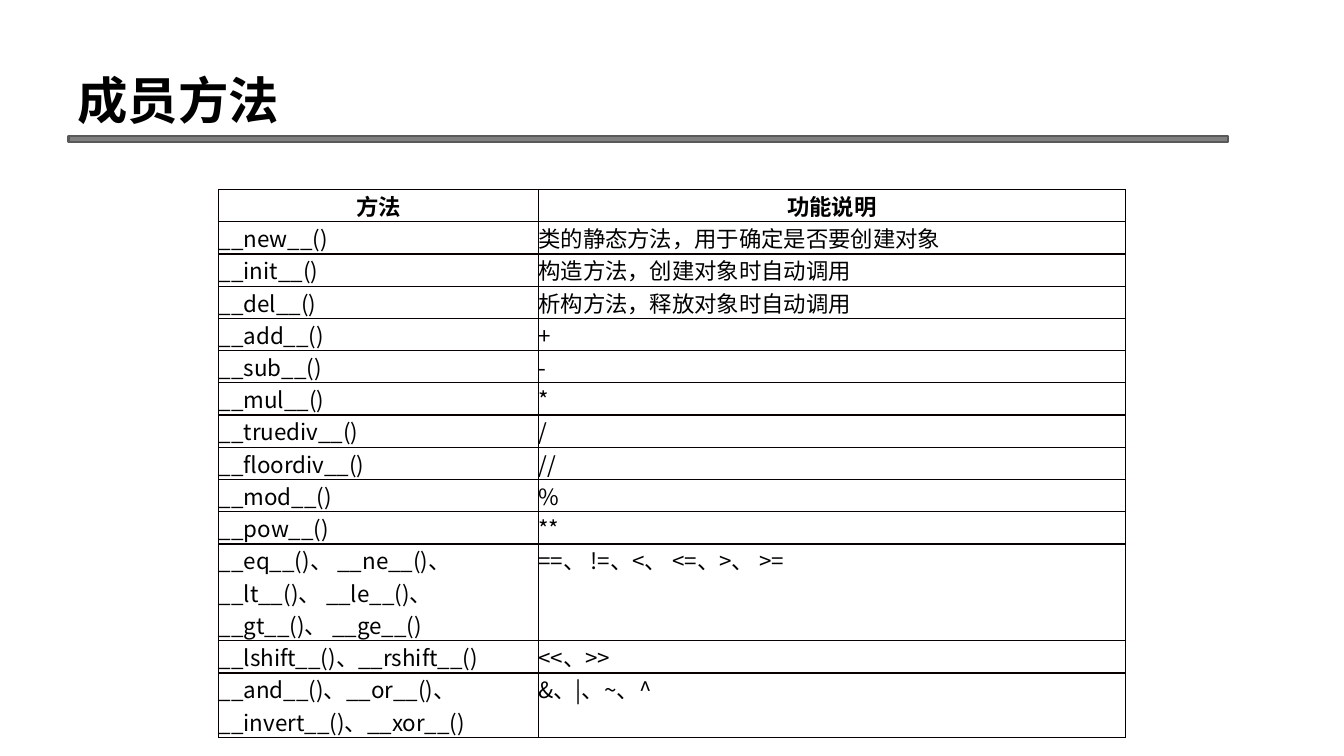
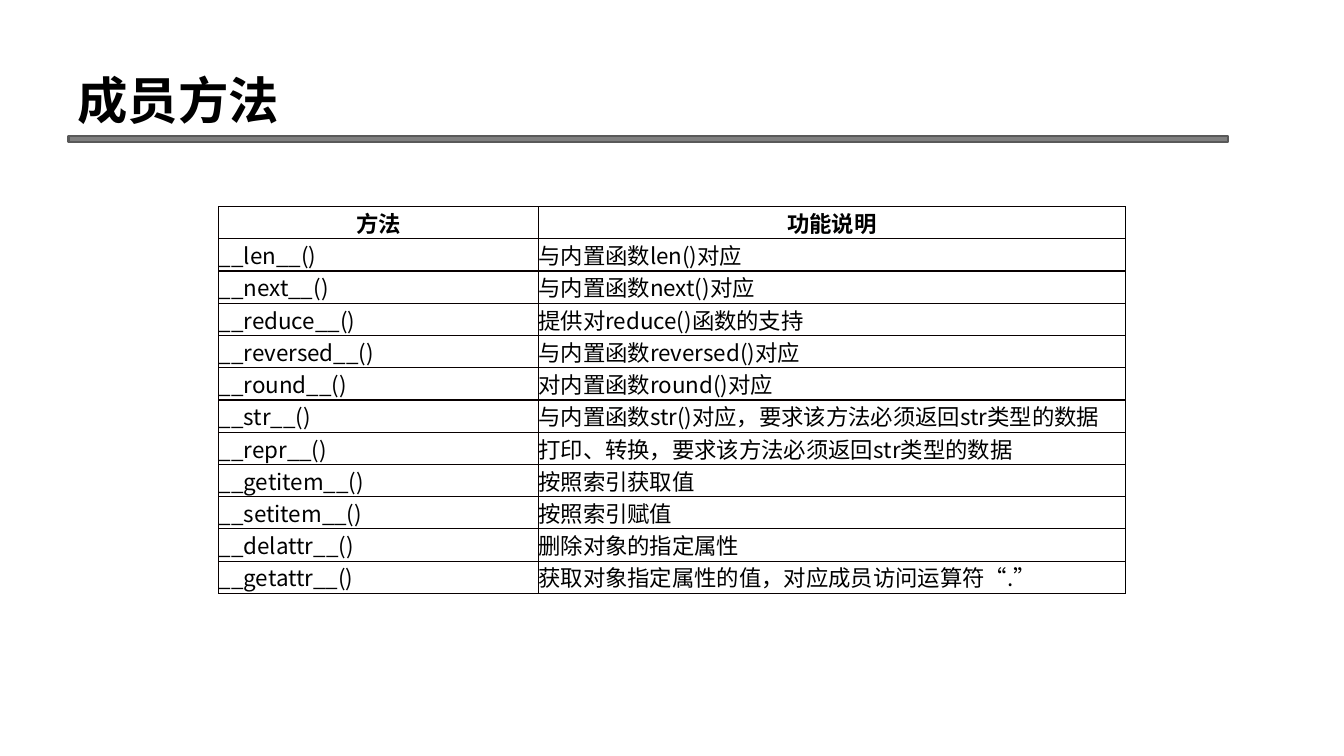
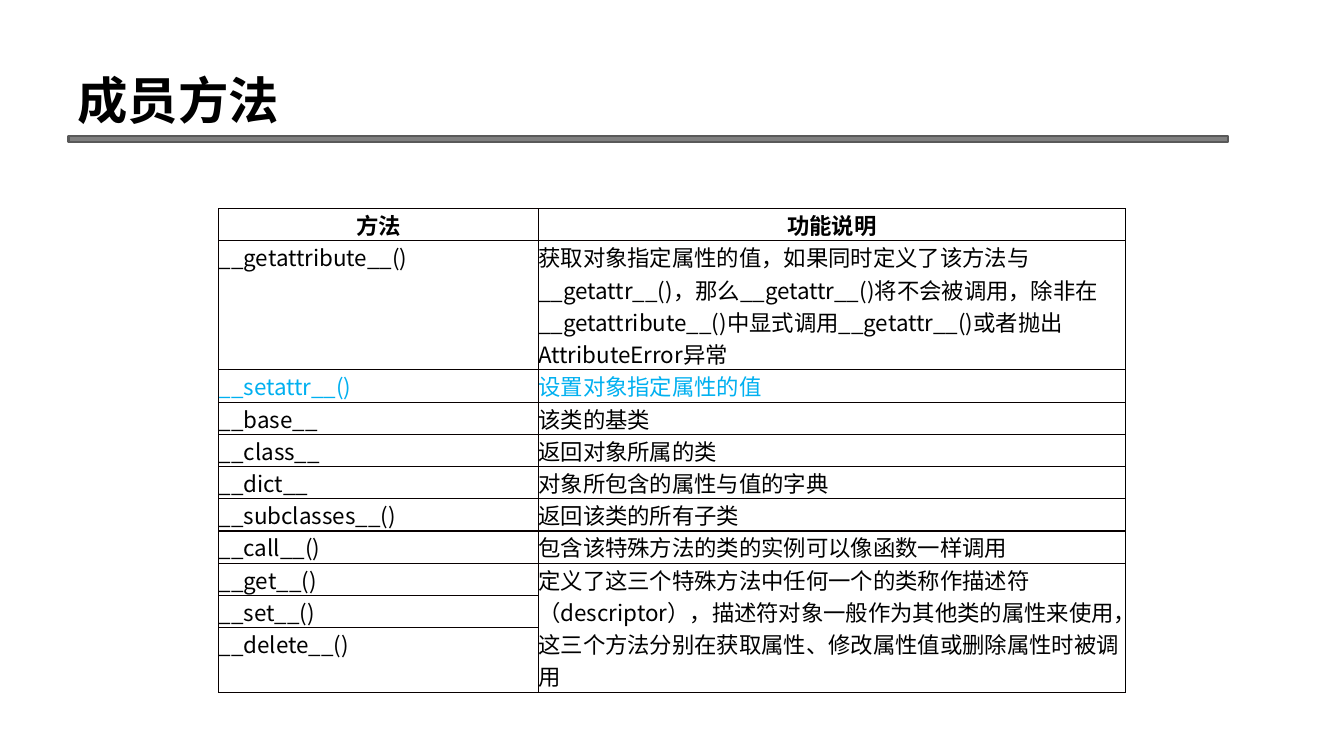
from lxml.etree import SubElement
from pptx import Presentation
from pptx.dml.color import RGBColor
from pptx.enum.shapes import MSO_SHAPE
from pptx.enum.text import MSO_ANCHOR, PP_ALIGN
from pptx.oxml.ns import qn
from pptx.util import Inches, Pt

WIDE, HIGH = 13.33, 7.5
FONT = "Noto Sans CJK SC"
BLACK, EDGE, BLUE = "000000", "080000", "00B0F0"
GREY, DARK = "808080", "595959"
LEFT, COLS, UNIT = 2.17, (3.17, 5.82), 0.32
TITLE = "成员方法"
HEAD = ("方法", "功能说明")

BASIC = [
    ("__new__()", "类的静态方法，用于确定是否要创建对象"),
    ("__init__()", "构造方法，创建对象时自动调用"),
    ("__del__()", "析构方法，释放对象时自动调用"),
    ("__add__()", "+"),
    ("__sub__()", "-"),
    ("__mul__()", "*"),
    ("__truediv__()", "/"),
    ("__floordiv__()", "//"),
    ("__mod__()", "%"),
    ("__pow__()", "**"),
    ("__eq__()、 __ne__()、__lt__()、 __le__()、__gt__()、 __ge__()",
     "==、 !=、<、 <=、>、 >="),
    ("__lshift__()、__rshift__()", "<<、>>"),
    ("__and__()、__or__()、__invert__()、__xor__()", "&、|、~、^"),
]
BUILTIN = [
    ("__len__()", "与内置函数len()对应"),
    ("__next__()", "与内置函数next()对应"),
    ("__reduce__()", "提供对reduce()函数的支持"),
    ("__reversed__()", "与内置函数reversed()对应"),
    ("__round__()", "对内置函数round()对应"),
    ("__str__()", "与内置函数str()对应，要求该方法必须返回str类型的数据"),
    ("__repr__()", "打印、转换，要求该方法必须返回str类型的数据"),
    ("__getitem__()", "按照索引获取值"),
    ("__setitem__()", "按照索引赋值"),
    ("__delattr__()", "删除对象的指定属性"),
    ("__getattr__()", "获取对象指定属性的值，对应成员访问运算符“.”"),
]
ACCESS = [
    ("__getattribute__()",
     "获取对象指定属性的值，如果同时定义了该方法与__getattr__()，"
     "那么__getattr__()将不会被调用，除非在__getattribute__()中"
     "显式调用__getattr__()或者抛出AttributeError异常"),
    ("__setattr__()", "设置对象指定属性的值"),
    ("__base__", "该类的基类"),
    ("__class__", "返回对象所属的类"),
    ("__dict__", "对象所包含的属性与值的字典"),
    ("__subclasses__()", "返回该类的所有子类"),
    ("__call__()", "包含该特殊方法的类的实例可以像函数一样调用"),
    ("__get__()",
     "定义了这三个特殊方法中任何一个的类称作描述符（descriptor），"
     "描述符对象一般作为其他类的属性来使用，"
     "这三个方法分别在获取属性、修改属性值或删除属性时被调用"),
    ("__set__()", ""),
    ("__delete__()", ""),
]


def paint(hue):
    return RGBColor.from_string(hue)


def write(frame, text, size=16, hue=BLACK, bold=False, align=PP_ALIGN.LEFT):
    frame.word_wrap = True
    para = frame.paragraphs[0]
    para.alignment = align
    run = para.add_run()
    run.text = text
    font = run.font
    font.size, font.bold, font.name = Pt(size), bold, FONT
    font.color.rgb = paint(hue)
    SubElement(font._element, qn("a:ea"), typeface=FONT)


def border(cell, last):
    props = cell._tc.get_or_add_tcPr()
    for side in "LRTB":
        outer = last and side == "R"
        line = SubElement(props, qn(f"a:ln{side}"),
                          w=str(Pt(0.75 if outer else 1)))
        fill = SubElement(line, qn("a:solidFill"))
        SubElement(fill, qn("a:srgbClr"), val=BLACK if outer else EDGE)
    cell.fill.background()


def header(slide):
    bar = slide.shapes.add_shape(MSO_SHAPE.RECTANGLE, Inches(0.68),
                                 Inches(1.35), Inches(11.5), Inches(0.06))
    bar.shadow.inherit = False
    bar.fill.solid()
    bar.fill.fore_color.rgb = paint(GREY)
    bar.line.color.rgb = paint(DARK)
    bar.line.width = Pt(1.5)
    box = slide.shapes.add_textbox(Inches(0.67), Inches(0.08),
                                   Inches(11.36), Inches(1.25))
    box.text_frame.vertical_anchor = MSO_ANCHOR.BOTTOM
    write(box.text_frame, TITLE, size=36, bold=True)


def grid(slide, top, body, tall, marked=None, merge=None):
    rows = [HEAD] + body
    units = [tall.get(row, 1) for row in range(len(rows))]
    table = slide.shapes.add_table(
        len(rows), len(COLS), Inches(LEFT), Inches(top),
        Inches(sum(COLS)), Inches(UNIT * sum(units))).table
    table.first_row = table.horz_banding = False
    for col, width in zip(table.columns, COLS):
        col.width = Inches(width)
    for row, (pair, unit) in enumerate(zip(rows, units)):
        table.rows[row].height = Inches(UNIT * unit)
        for col, text in enumerate(pair):
            cell = table.cell(row, col)
            cell.margin_left = cell.margin_right = 0
            cell.margin_top = cell.margin_bottom = 0
            border(cell, col == len(COLS) - 1)
            if text:
                write(cell.text_frame, text, bold=row == 0,
                      hue=BLUE if row == marked else BLACK,
                      align=PP_ALIGN.LEFT if row else PP_ALIGN.CENTER)
    if merge:
        first, final = merge
        table.cell(first, 1).merge(table.cell(final, 1))


def main():
    deck = Presentation()
    deck.slide_width, deck.slide_height = Inches(WIDE), Inches(HIGH)
    pages = [
        dict(top=1.88, body=BASIC, tall={11: 3, 13: 2}),
        dict(top=2.05, body=BUILTIN, tall={}),
        dict(top=2.07, body=ACCESS, tall={1: 4, 10: 2}, marked=2,
             merge=(8, 10)),
    ]
    for page in pages:
        slide = deck.slides.add_slide(deck.slide_layouts[6])
        header(slide)
        grid(slide, **page)
    deck.save("out.pptx")


if __name__ == "__main__":
    main()
